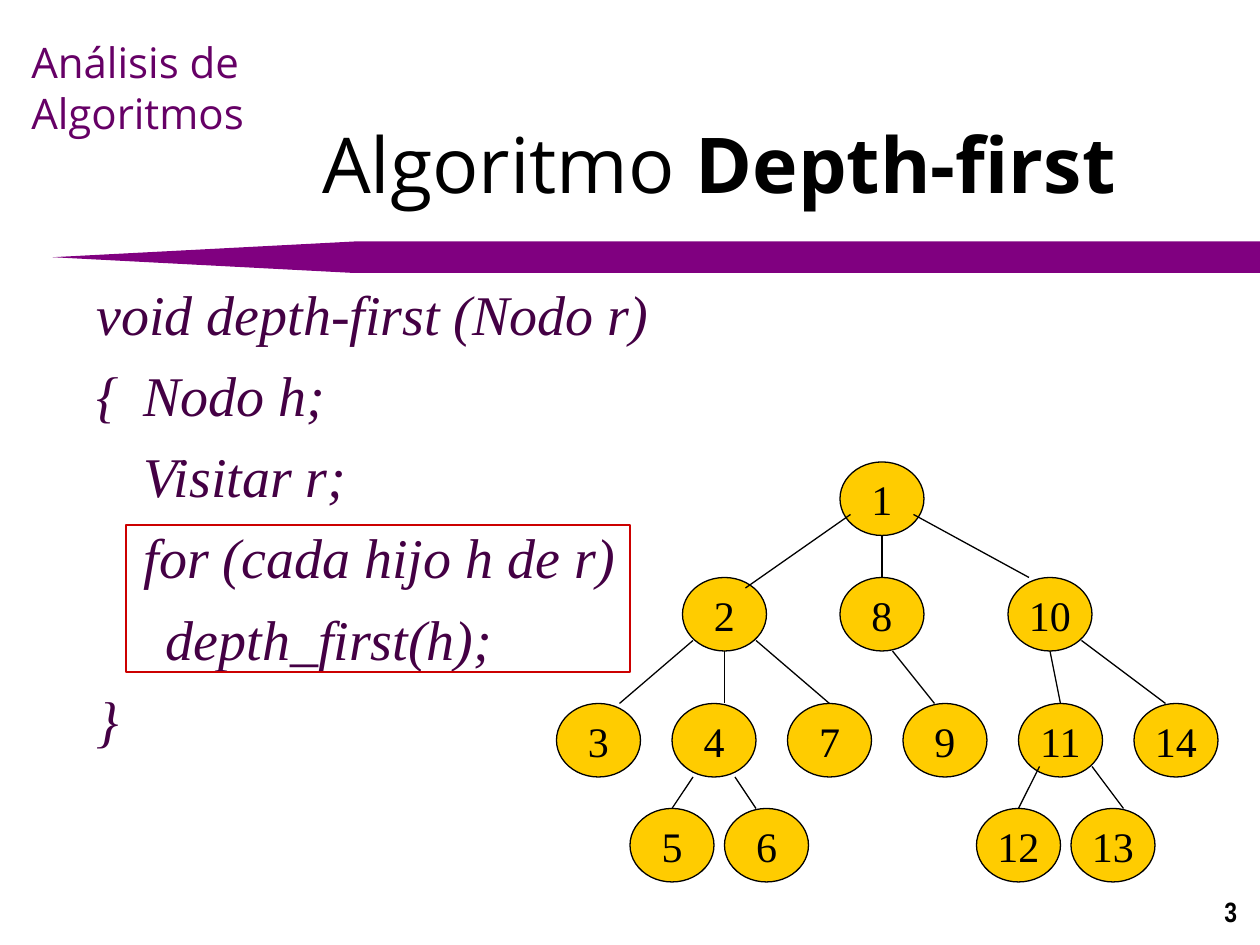
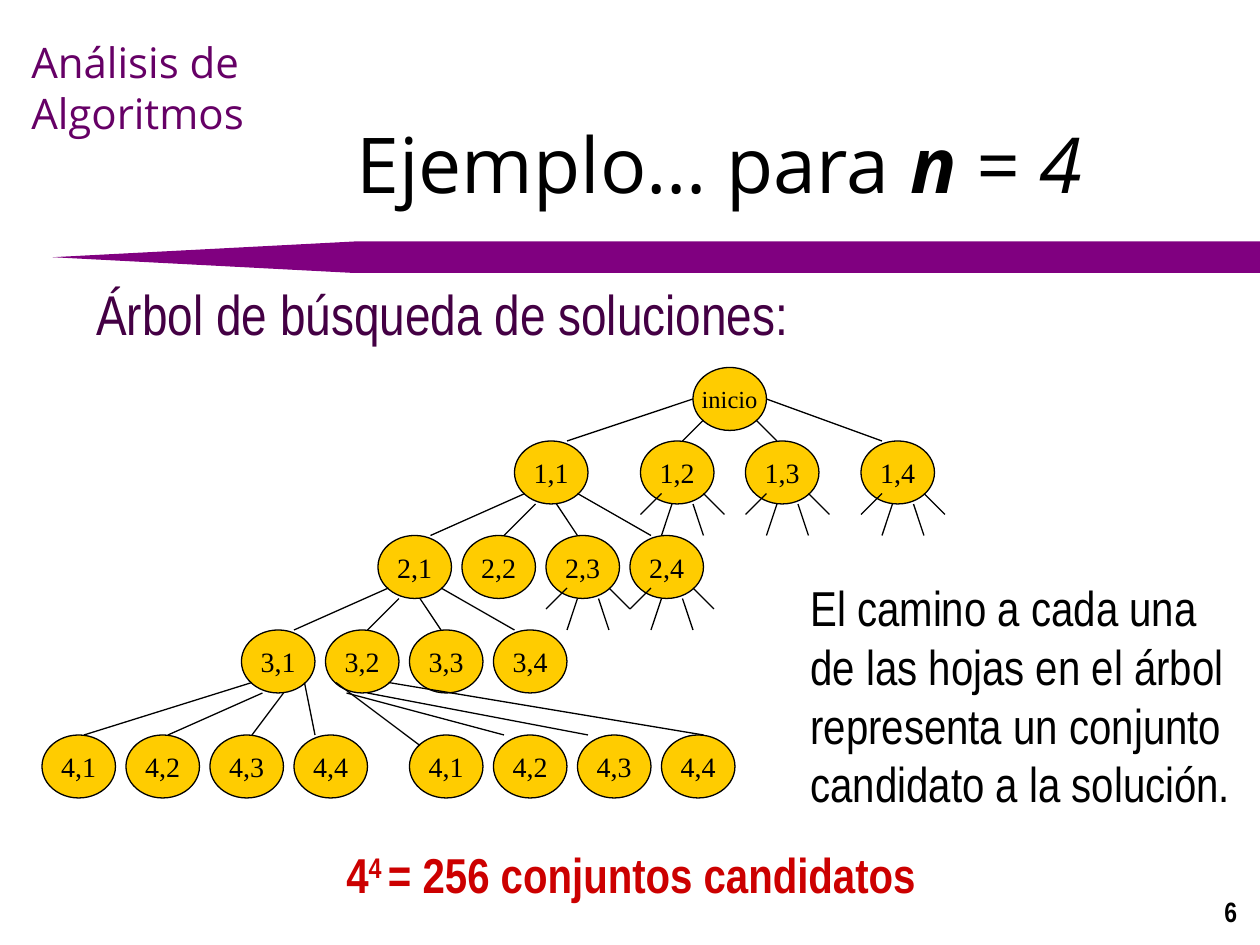
from dataclasses import dataclass, field
from typing import Any

from lxml import etree
from pptx import Presentation
from pptx.dml.color import RGBColor
from pptx.enum.shapes import MSO_CONNECTOR, MSO_SHAPE
from pptx.enum.text import MSO_ANCHOR, PP_ALIGN
from pptx.oxml.ns import qn
from pptx.util import Cm, Pt

LEFT, CENTER, RIGHT = PP_ALIGN.LEFT, PP_ALIGN.CENTER, PP_ALIGN.RIGHT
TOP, MIDDLE, BOTTOM = MSO_ANCHOR.TOP, MSO_ANCHOR.MIDDLE, MSO_ANCHOR.BOTTOM
ELLIPSE, RECTANGLE, ARROW_BAND = MSO_SHAPE.OVAL, MSO_SHAPE.RECTANGLE, MSO_SHAPE.PENTAGON
STRAIGHT = MSO_CONNECTOR.STRAIGHT

# Colours and fonts
PURPLE, HEADER_PURPLE, DARK_PURPLE = "800080", "660066", "440044"
GOLD, RED, BLACK = "FFCC00", "CC0000", "000000"
SANS, NARROW, SERIF = "Open Sans", "Arial Narrow", "Times New Roman"

# All drawing follows a grid of twelve units to the inch
GRID_CM = 2.54 / 12
HANGING = 4.5


def grid(units: float) -> Cm:
    return Cm(units * GRID_CM)


def rgb(hex_color: str) -> RGBColor:
    return RGBColor.from_string(hex_color)


def text_format(font: str, points: float, color: str, **extra: Any) -> dict[str, Any]:
    return {"name": font, "size": Pt(points), "color": color, **extra}


TITLE = text_format(SANS, 44, BLACK)
HEADER = text_format(SANS, 24, HEADER_PURPLE)
PAGE_NUMBER = text_format(NARROW, 16, BLACK, bold=True)
CODE = text_format(SERIF, 32, DARK_PURPLE, italic=True)
BODY = text_format(NARROW, 32, DARK_PURPLE)
REMARK = text_format(NARROW, 28, BLACK)
RESULT = text_format(NARROW, 28, RED, bold=True)


@dataclass
class Span:
    text: str
    style: dict[str, Any] = field(default_factory=dict)
    raised: bool = False


@dataclass
class Line:
    spans: list[Span]
    margin: float = 0
    first: float = 0


@dataclass
class Box:
    left: float
    top: float
    width: float
    height: float
    anchor: Any = TOP
    align: Any = LEFT
    wrap: bool = True
    layout: dict[str, Any] = field(default_factory=dict)


@dataclass
class Node:
    label: str
    left: float
    top: float


@dataclass
class Edge:
    x1: float
    y1: float
    x2: float
    y2: float


TITLE_BOX = Box(26, 8, 85, 15, MIDDLE, CENTER)
HEADER_BOX = Box(1.8, 2.9, 27.2, 10.8, layout={"line_spacing": Pt(29)})
BODY_BOX = Box(8, 26, 106, 58, layout={"space_before": Pt(8)})
NUMBER_BOX = Box(94, 86, 25, 3, BOTTOM, RIGHT)
REMARK_BOX = Box(76, 54.4, 42.4, 23.6, wrap=False)
RESULT_BOX = Box(31.8, 79.8, 56.9, 6.8, wrap=False)


def plain(text: str) -> Line:
    return Line([Span(text)])


def write(frame: Any, lines: list[Line], style: dict[str, Any], box: Box) -> None:
    frame.word_wrap = box.wrap
    frame.vertical_anchor = box.anchor
    for index, line in enumerate(lines):
        paragraph = frame.add_paragraph() if index else frame.paragraphs[0]
        paragraph.alignment = box.align
        for name, value in box.layout.items():
            setattr(paragraph, name, value)
        if line.margin:
            properties = paragraph._p.get_or_add_pPr()
            properties.set("marL", str(grid(line.margin)))
            properties.set("indent", str(grid(line.first)))
        for span in line.spans:
            run = paragraph.add_run()
            run.text = span.text
            for name, value in {**style, **span.style}.items():
                if name == "color":
                    run.font.color.rgb = rgb(value)
                else:
                    setattr(run.font, name, value)
            if span.raised:
                run._r.get_or_add_rPr().set("baseline", "30000")


def add_text(slide: Any, box: Box, lines: list[Line], style: dict[str, Any]) -> None:
    area = slide.shapes.add_textbox(*map(grid, (box.left, box.top, box.width, box.height)))
    write(area.text_frame, lines, style, box)


def add_shape(slide: Any, kind: Any, box: Box, fill: str = "", outline: str = "") -> Any:
    shape = slide.shapes.add_shape(kind, *map(grid, (box.left, box.top, box.width, box.height)))
    shape.shadow.inherit = False
    if fill:
        shape.fill.solid()
        shape.fill.fore_color.rgb = rgb(fill)
    else:
        shape.fill.background()
    if outline:
        shape.line.color.rgb = rgb(outline)
        shape.line.width = Pt(0.75)
    else:
        shape.line.fill.background()
    return shape


def add_nodes(slide: Any, nodes: list[Node], width: float, height: float, points: float) -> None:
    for node in nodes:
        box = Box(node.left, node.top, width, height, MIDDLE, CENTER, wrap=False)
        ellipse = add_shape(slide, ELLIPSE, box, GOLD, BLACK)
        write(ellipse.text_frame, [plain(node.label)], text_format(SERIF, points, BLACK), box)


def add_edges(slide: Any, edges: list[Edge]) -> None:
    for edge in edges:
        ends = map(grid, (edge.x1, edge.y1, edge.x2, edge.y2))
        branch = slide.shapes.add_connector(STRAIGHT, *ends)
        branch.line.color.rgb = rgb(BLACK)
        branch.line.width = Pt(0.75)
        etree.SubElement(branch._element.spPr, qn("a:effectLst"))


def new_slide(deck: Any, number: int, title: list[Span]) -> Any:
    slide = deck.slides.add_slide(deck.slide_layouts[6])
    band = add_shape(slide, ARROW_BAND, Box(5, 23, 115, 3), PURPLE)
    band.adjustments[0] = 9.583
    band._element.spPr.get_or_add_xfrm().set("flipH", "1")
    add_text(slide, HEADER_BOX, [plain("Análisis de"), plain("Algoritmos")], HEADER)
    add_text(slide, NUMBER_BOX, [plain(str(number))], PAGE_NUMBER)
    add_text(slide, TITLE_BOX, [Line(title)], TITLE)
    return slide


deck = Presentation()
deck.slide_width, deck.slide_height = grid(120), grid(90)

# Depth-first: code and visiting order
depth_first = new_slide(deck, 3, [Span("Algoritmo "), Span("Depth-first", {"bold": True})])
code = [
    Line([Span("void depth-first (Nodo r)")], HANGING, -HANGING),
    Line([Span("{\tNodo h;")], HANGING, -HANGING),
    Line([Span("Visitar r;")], HANGING),
    Line([Span("for (cada hijo h de r)")], HANGING),
    Line([Span("depth_first(h);")], 6.6),
    Line([Span("}")], HANGING, -HANGING),
]
add_text(depth_first, BODY_BOX, code, CODE)

visit_rows = {
    44: {1: 80},
    55: {2: 65, 8: 80, 10: 96},
    67: {3: 53, 4: 64, 7: 75, 9: 86, 11: 97, 14: 108},
    77: {5: 60, 6: 69, 12: 93, 13: 102},
}
visits = [Node(str(order), left, top)
          for top, row in visit_rows.items() for order, left in row.items()]
add_nodes(depth_first, visits, 8, 7, 24)
add_edges(depth_first, [
    Edge(81, 49, 71, 56), Edge(84, 51, 84, 55), Edge(87, 49, 98, 55),
    Edge(66, 61, 59, 67), Edge(69, 62, 69, 67), Edge(72, 61, 79, 67),
    Edge(85, 62, 89, 67), Edge(100, 62, 101, 67), Edge(103, 61, 111, 67),
    Edge(66, 74, 64, 77), Edge(70, 74, 72, 77),
    Edge(99, 73, 97, 77), Edge(104, 73, 107, 77),
])
add_shape(depth_first, RECTANGLE, Box(12, 50, 48, 14), outline=RED)

# Search tree for n = 4
search = new_slide(deck, 6, [
    Span("Ejemplo… para "),
    Span("n ", {"bold": True, "italic": True}),
    Span("= 4", {"italic": True}),
])
add_text(search, BODY_BOX,
         [Line([Span("Árbol de búsqueda de soluciones:")], HANGING, -HANGING)], BODY)

# Each group of four siblings: level, top and left edges
sibling_groups = [
    (1, 42, (49, 61, 71, 82)),
    (2, 51, range(36, 61, 8)),
    (3, 60, range(23, 48, 8)),
    (4, 70, range(4, 29, 8)),
    (4, 70, range(39, 64, 8)),
]
choices = [Node(f"{level},{value}", left, top)
           for level, top, lefts in sibling_groups
           for value, left in enumerate(lefts, 1)]
add_nodes(search, [Node("inicio", 66, 35)], 7, 6, 14)
add_nodes(search, choices, 7, 6, 16)

# Branches leave an expanded node at four fixed points
EXITS = ((1, 5), (2, 6), (4, 6), (6, 5))
expanded = [
    (49, 42, ((41, 51), (48, 51), (55, 51), (62, 51))),
    (36, 51, ((28, 60), (35, 60), (42, 60), (49, 60))),
    (23, 60, ((8, 70), (16, 70), (24, 70), (30, 70))),
    (31, 60, ((40, 71), (48, 70), (56, 70), (67, 70))),
]
add_edges(search, [Edge(66, 38, 54, 42), Edge(67, 40, 65, 42),
                   Edge(72, 40, 74, 42), Edge(73, 38, 84, 42)])
add_edges(search, [Edge(left + dx, top + dy, *target)
                   for left, top, targets in expanded
                   for (dx, dy), target in zip(EXITS, targets)])

# Short stubs stand for subtrees that are not drawn
STUBS = (Edge(0, 7, 2, 5), Edge(2, 9, 3, 6), Edge(5, 6, 6, 9), Edge(6, 5, 8, 7))
unexpanded = [(61, 42), (71, 42), (82, 42), (52, 51), (60, 51)]
add_edges(search, [Edge(left + stub.x1, top + stub.y1, left + stub.x2, top + stub.y2)
                   for left, top in unexpanded for stub in STUBS])

# Conclusions
remark = ["El camino a cada una", "de las hojas en el árbol",
          "representa un conjunto", "candidato a la solución."]
add_text(search, REMARK_BOX, [plain(words) for words in remark], REMARK)
add_text(search, RESULT_BOX, [Line([
    Span("4"), Span("4 ", raised=True), Span("= 256 conjuntos candidatos"),
])], RESULT)

deck.save("out.pptx")
